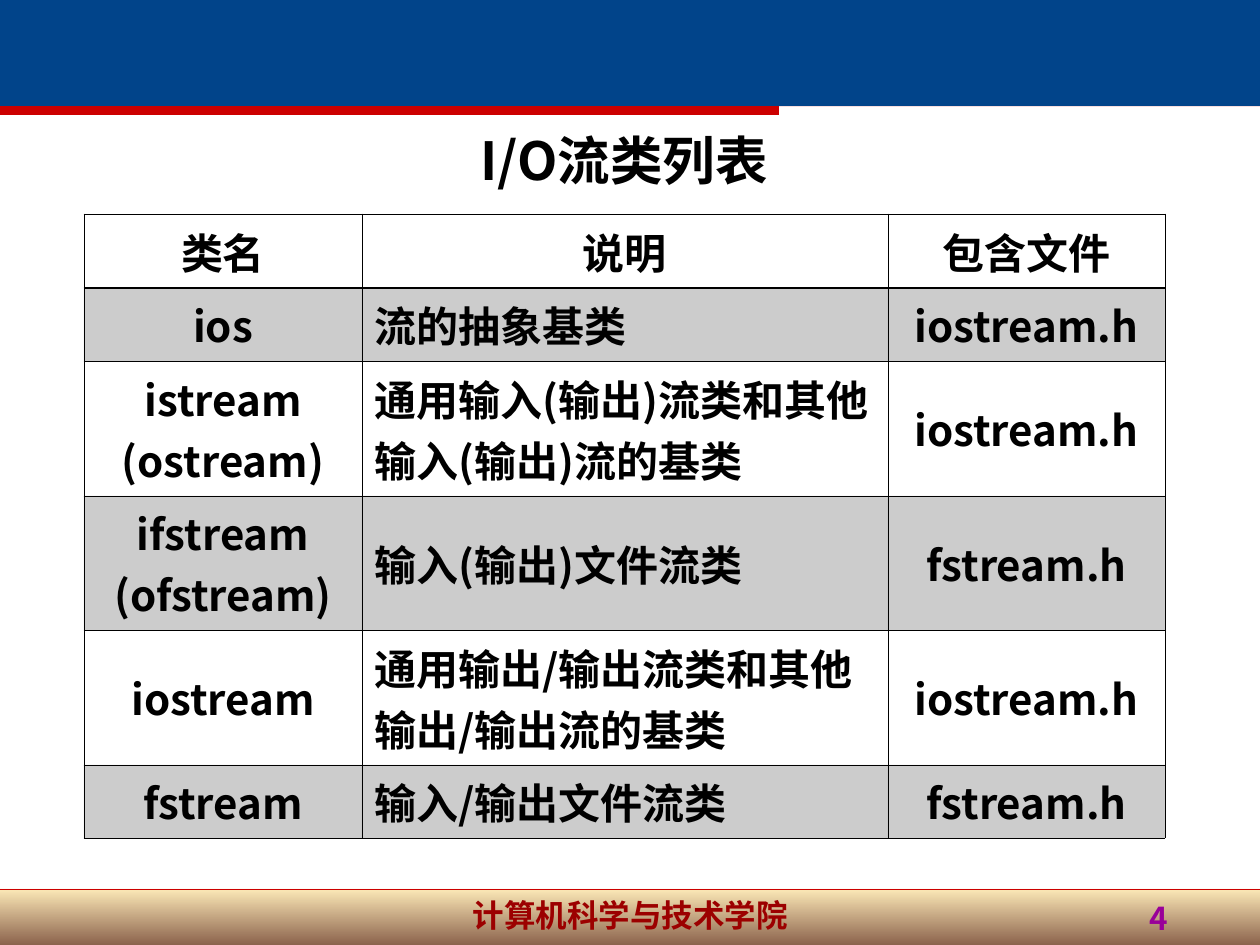
from lxml import etree
from pptx import Presentation
from pptx.dml.color import RGBColor
from pptx.enum.shapes import MSO_CONNECTOR as CONN, MSO_SHAPE as SHAPE
from pptx.enum.text import MSO_ANCHOR as ANCHOR, PP_ALIGN as ALIGN
from pptx.oxml.ns import qn
from pptx.util import Pt

SCALE = 914400 / 126
FONT = "Noto Sans CJK SC"
HEADER = ["类名", "说明", "包含文件"]
CLASSES = [
    ["ios", "流的抽象基类", "iostream.h"],
    ["istream\n(ostream)", "通用输入(输出)流类和其他输入(输出)流的基类", "iostream.h"],
    ["ifstream\n(ofstream)", "输入(输出)文件流类", "fstream.h"],
    ["iostream", "通用输出/输出流类和其他输出/输出流的基类", "iostream.h"],
    ["fstream", "输入/输出文件流类", "fstream.h"],
]
COLS = [278, 526, 277]
ROWS = [74, 73, 135, 134, 135, 73]


def px(n):
    return round(n * SCALE)


def box(*lengths):
    return [px(n) for n in lengths]


def rgb(code):
    return RGBColor.from_string(code)


def set_alpha(color_parent, percent):
    for color in color_parent.iter(qn("a:srgbClr")):
        etree.SubElement(color, qn("a:alpha")).set("val", str(percent * 1000))


def write(tf, text, size=24, color="000000", align=ALIGN.CENTER):
    tf.word_wrap = True
    for i, line in enumerate(text.split("\n")):
        p = tf.paragraphs[0] if i == 0 else tf.add_paragraph()
        p.alignment = align
        p.space_before = Pt(0)
        r = p.add_run()
        r.text = line
        font = r.font
        font.size, font.bold, font.name = Pt(size), True, FONT
        font.color.rgb = rgb(color)
        etree.SubElement(r._r.get_or_add_rPr(), qn("a:ea")).set("typeface", FONT)


def add_text(s, at, text, **fmt):
    write(s.shapes.add_textbox(*box(*at)).text_frame, text, **fmt)


def add_bar(s, at):
    sp = s.shapes.add_shape(SHAPE.RECTANGLE, *box(*at))
    sp.shadow.inherit = False
    sp.line.fill.background()
    return sp


def add_footer(s):
    band = add_bar(s, (0, 889, 1260, 56))
    band.fill.gradient()
    band.fill.gradient_angle = 270
    for stop, code in zip(band.fill.gradient_stops, ["FCE2A0", "663012"]):
        stop.color.rgb = rgb(code)
    set_alpha(band._element.spPr, 75)

    rule = s.shapes.add_connector(CONN.STRAIGHT, *box(0, 889, 1265, 889))
    rule.line.color.rgb = rgb("CC0000")
    rule.line.width = Pt(0.25)
    etree.SubElement(rule._element.spPr, qn("a:effectLst"))

    add_text(s, (431, 890, 399, 55), "计算机科学与技术学院", size=18, color="9C0000")


def add_header(s):
    band = add_bar(s, (0, 0, 1260, 106))
    band.fill.solid()
    band.fill.fore_color.rgb = rgb("01448A")

    # Red strip, with an open edge on to the right side
    fb = s.shapes.build_freeform(0, 106, scale=SCALE)
    fb.add_line_segments([(779, 106), (779, 115), (0, 115)], close=True)
    fb.move_to(0, 106)
    fb.add_line_segments([(1260, 106)], close=False)
    strip = fb.convert_to_shape()
    strip.shadow.inherit = False
    strip.fill.solid()
    strip.fill.fore_color.rgb = rgb("CC0000")
    strip.line.fill.background()


def add_title(s, text):
    title = s.shapes.title
    title.left, title.top, title.width, title.height = box(54, 115, 1152, 89)
    tf = title.text_frame
    tf.margin_left = tf.margin_top = tf.margin_right = tf.margin_bottom = 0
    tf.vertical_anchor = ANCHOR.MIDDLE
    write(tf, text, size=30)


def set_borders(cell, **widths):
    tcPr = cell._tc.get_or_add_tcPr()
    for i, side in enumerate("LRTB"):
        ln = etree.Element(qn(f"a:ln{side}"), w=str(Pt(widths.get(side, 0.45))))
        fill = etree.SubElement(ln, qn("a:solidFill"))
        etree.SubElement(fill, qn("a:srgbClr"), val="000000")
        tcPr.insert(i, ln)


def add_class_table(s):
    rows = [HEADER] + CLASSES
    at = box(84, 214, sum(COLS), sum(ROWS))
    table = s.shapes.add_table(len(rows), len(COLS), *at).table
    table.first_row = table.horz_banding = False
    for col, width in zip(table.columns, COLS):
        col.width = px(width)
    for i, texts in enumerate(rows):
        table.rows[i].height = px(ROWS[i])
        for j, text in enumerate(texts):
            cell = table.cell(i, j)
            cell.vertical_anchor = ANCHOR.MIDDLE
            align = ALIGN.LEFT if i and j == 1 else ALIGN.CENTER
            write(cell.text_frame, text, align=align)
            # Every other row is shaded
            if i % 2:
                cell.fill.solid()
                cell.fill.fore_color.rgb = rgb("000000")
                set_alpha(cell._tc.tcPr, 20)
            else:
                cell.fill.background()
            # Heavier rule under the header
            set_borders(cell, **{0: {"B": 0.96}, 1: {"T": 0.96}}.get(i, {}))


def main():
    prs = Presentation()
    prs.slide_width, prs.slide_height = box(1260, 945)
    s = prs.slides.add_slide(prs.slide_layouts[5])
    add_footer(s)
    add_header(s)
    add_title(s, "I/O流类列表 ")
    add_text(s, (907, 893, 273, 55), "4", size=18, color="990099", align=ALIGN.RIGHT)
    add_class_table(s)
    prs.save("out.pptx")


if __name__ == "__main__":
    main()
